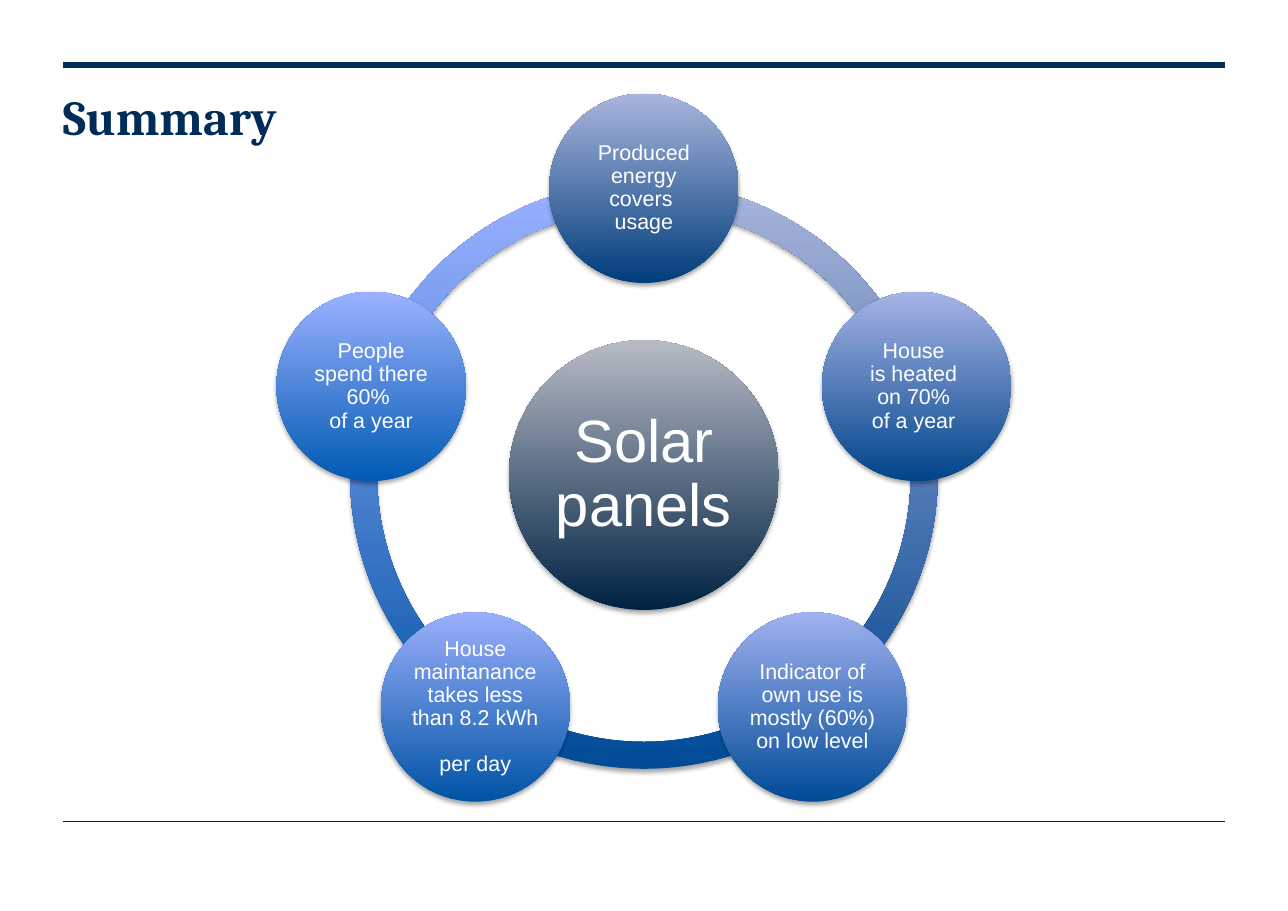
import copy
import math
from dataclasses import dataclass

import lxml.etree
import pptx
import pptx.dml.color
import pptx.enum.shapes
import pptx.enum.text
import pptx.oxml.ns
import pptx.util

TITLE = "Summary"
HUB = ("Solar panels", "002243", "B8BBC5")
# Text, bottom colour and top colour, clockwise from the top
BUBBLES = [
    ("Produced energy covers \nusage", "003D7B", "AAB5DD"),
    ("House \nis heated \non 70% \nof a year ", "004489", "A6B3E6"),
    ("Indicator of own use is mostly (60%) on low level", "004B97", "A0B1F0"),
    ("House maintanance takes less than 8.2 kWh \nper day", "0053A5", "9AAFFB"),
    ("People spend there 60% \nof a year", "005AB3", "9BB1FF"),
]
RULES = [(42.5, 4), (537.1, 0.75)]  # height on the slide, line width

SLIDE_WIDTH, SLIDE_HEIGHT = 841.68, 595.44
LEFT, CONTENT_WIDTH = 41.04, 759.6
CENTER_X, CENTER_Y = 420.8, 310.5
RING_SIZE, HUB_SIZE, BUBBLE_SIZE = 384, 176.4, 123.8
ORBIT = 187.4
RING_THICKNESS = 0.046
ADJUSTMENT_PER_DEGREE = 0.6


@dataclass(frozen=True)
class Theme:
    navy: str = "002C58"
    white: str = "FFFFFF"
    shadow: str = "000000"
    title_font: str = "Cambria"
    body_font: str = "Arial"
    title_size: float = 32
    hub_size: float = 39
    bubble_size: float = 14


THEME = Theme()
Pt = pptx.util.Pt
Shape = pptx.enum.shapes.MSO_SHAPE
Align = pptx.enum.text.PP_ALIGN


def rgb(value):
    return pptx.dml.color.RGBColor.from_string(value)


def write_text(shape, text, *, size, font, color, bold=False,
               align=Align.CENTER, inset=0):
    frame = shape.text_frame
    frame.word_wrap = True
    frame.auto_size = pptx.enum.text.MSO_AUTO_SIZE.NONE
    frame.vertical_anchor = pptx.enum.text.MSO_ANCHOR.MIDDLE
    frame.margin_left = frame.margin_right = Pt(inset)
    frame.margin_top = frame.margin_bottom = Pt(inset)
    paragraph = frame.paragraphs[0]
    paragraph.text = text.replace("\n", "\v")
    paragraph.alignment = align
    paragraph.line_spacing = 0.9
    for run in paragraph.runs:
        run.font.size = Pt(size)
        run.font.name = font
        run.font.bold = bold
        run.font.color.rgb = rgb(color)
    # Line breaks need the run format too, or they take the default size
    run_format = paragraph.runs[0]._r.get_or_add_rPr()
    for line_break in paragraph._p.findall(pptx.oxml.ns.qn("a:br")):
        line_break.append(copy.deepcopy(run_format))


def add_shadow(shape):
    shape.shadow.inherit = False
    qn = pptx.oxml.ns.qn
    effects = shape._element.spPr.find(qn("a:effectLst"))
    shadow = lxml.etree.SubElement(
        effects, qn("a:outerShdw"), blurRad=str(Pt(3.1)), dist=str(Pt(1.8)),
        dir="5400000", rotWithShape="0")
    color = lxml.etree.SubElement(shadow, qn("a:srgbClr"), val=THEME.shadow)
    lxml.etree.SubElement(color, qn("a:alpha"), val="35000")


def add_round(slide, kind, center_x, center_y, size, bottom, top):
    """Add a centred square-framed shape with a vertical gradient and a shadow."""
    shape = slide.shapes.add_shape(
        kind, Pt(center_x - size / 2), Pt(center_y - size / 2), Pt(size), Pt(size))
    shape.fill.gradient()
    shape.fill.gradient_angle = 90
    for stop, position, color in zip(shape.fill.gradient_stops, (0, 1), (bottom, top)):
        stop.position = position
        stop.color.rgb = rgb(color)
    shape.line.fill.background()
    add_shadow(shape)
    return shape


def add_rule(slide, y, width):
    rule = slide.shapes.add_connector(
        pptx.enum.shapes.MSO_CONNECTOR.STRAIGHT,
        Pt(LEFT), Pt(y), Pt(LEFT + CONTENT_WIDTH), Pt(y))
    rule.line.color.rgb = rgb(THEME.navy)
    rule.line.width = Pt(width)
    lxml.etree.SubElement(rule._element.spPr, pptx.oxml.ns.qn("a:effectLst"))


def add_title(slide):
    title = slide.shapes.title
    title.left, title.top = Pt(LEFT), Pt(61.2)
    title.width, title.height = Pt(CONTENT_WIDTH), Pt(34.6)
    write_text(title, TITLE, size=THEME.title_size, font=THEME.title_font,
               color=THEME.navy, bold=True, align=Align.LEFT)


def add_cycle(slide):
    step = 360 / len(BUBBLES)
    angles = [270 + step * index for index in range(len(BUBBLES))]
    for angle, (_, bottom, top) in reversed(list(zip(angles, BUBBLES))):
        arc = add_round(slide, Shape.BLOCK_ARC, CENTER_X, CENTER_Y, RING_SIZE, bottom, top)
        arc.adjustments[0] = angle % 360 * ADJUSTMENT_PER_DEGREE
        arc.adjustments[1] = (angle + step) % 360 * ADJUSTMENT_PER_DEGREE
        arc.adjustments[2] = RING_THICKNESS

    text, bottom, top = HUB
    hub = add_round(slide, Shape.OVAL, CENTER_X, CENTER_Y, HUB_SIZE, bottom, top)
    write_text(hub, text, size=THEME.hub_size, font=THEME.body_font,
               color=THEME.white, inset=3.6)

    for angle, (text, bottom, top) in zip(angles, BUBBLES):
        x = CENTER_X + ORBIT * math.cos(math.radians(angle))
        y = CENTER_Y + ORBIT * math.sin(math.radians(angle))
        bubble = add_round(slide, Shape.OVAL, x, y, BUBBLE_SIZE, bottom, top)
        write_text(bubble, text, size=THEME.bubble_size, font=THEME.body_font,
                   color=THEME.white, inset=1.4)


def main():
    presentation = pptx.Presentation()
    presentation.slide_width = Pt(SLIDE_WIDTH)
    presentation.slide_height = Pt(SLIDE_HEIGHT)
    slide = presentation.slides.add_slide(presentation.slide_layouts[5])
    for y, width in RULES:
        add_rule(slide, y, width)
    add_title(slide)
    add_cycle(slide)
    presentation.save("out.pptx")


if __name__ == "__main__":
    main()
